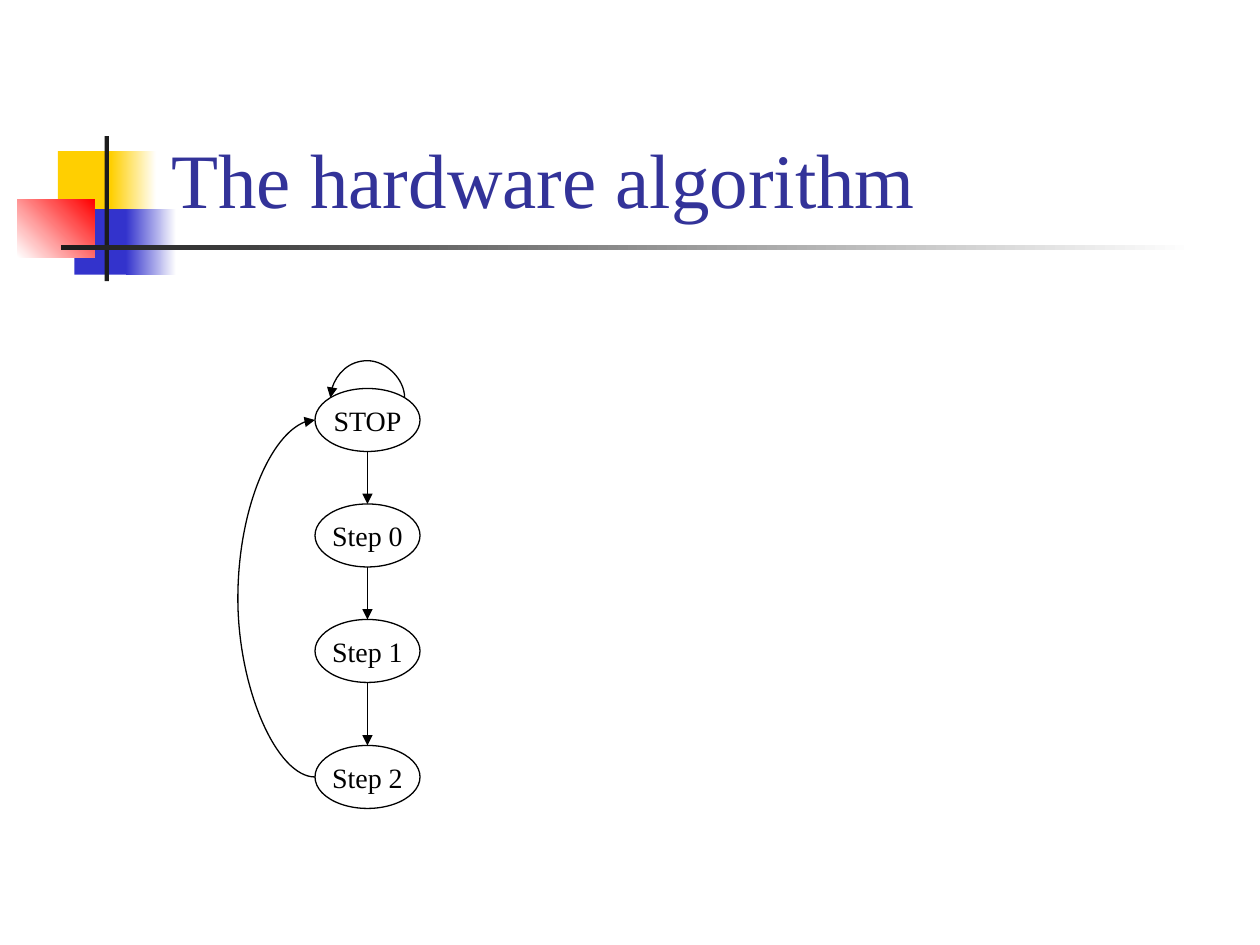
import math

from pptx import Presentation
from pptx import util as u
from pptx.dml.color import RGBColor
from pptx.enum import shapes, text
from pptx.oxml import ns
from lxml import etree

WHITE = RGBColor(0xFF, 0xFF, 0xFF)
BLACK = RGBColor(0, 0, 0)
YELLOW = RGBColor(0xFF, 0xCF, 0x01)
BLUE = RGBColor(0x33, 0x33, 0xCC)
RED = RGBColor(0xFF, 0, 0)
CHARCOAL = RGBColor(0x1C, 0x1C, 0x1C)
NAVY = RGBColor(0x33, 0x33, 0x99)

# Connection sites of an ellipse
TOP, TOP_LEFT, LEFT, BOTTOM, TOP_RIGHT = 0, 1, 2, 4, 7

STATE_LEFT, STATE_WIDTH, STATE_HEIGHT = 180, 60, 36
STATES = {"STOP": 222, "Step 0": 288, "Step 1": 354, "Step 2": 426}

DECORATION = [  # left, top, width, height, colours, gradient angle
    (33.1, 86.4, 34.6, 37.4, [YELLOW], 0),
    (63.4, 86.4, 25.9, 37.4, [YELLOW, WHITE], 0),
    (42.5, 119.5, 33.1, 37.4, [BLUE], 0),
    (72, 119.5, 28.8, 37.4, [BLUE, WHITE], 0),
    (10, 113.8, 44, 33.1, [WHITE, RED], 45),
    (59.8, 77.8, 2.4, 82.8, [CHARCOAL], 0),
    (34.6, 140.2, 648, 2.4, [CHARCOAL, WHITE], 0),
]


def apply(target, values):
    for name, value in values.items():
        setattr(target, name, value)


class Deck:
    font_name = "Times New Roman"
    line_width = 0.75
    thin = 0.125  # width of a curve whose two ends are level

    def __init__(self):
        self.prs = Presentation()
        apply(self.prs, {"slide_width": u.Pt(720), "slide_height": u.Pt(540)})
        self.slide = self.prs.slides.add_slide(self.prs.slide_layouts[5])

    def label(self, frame, words, size, color, align, anchor, wrap):
        apply(frame, {"text": words, "vertical_anchor": anchor, "word_wrap": wrap,
                      "auto_size": text.MSO_AUTO_SIZE.NONE})
        paragraph = frame.paragraphs[0]
        paragraph.alignment = align
        font = paragraph.runs[0].font
        apply(font, {"name": self.font_name, "size": u.Pt(size)})
        font.color.rgb = color

    def title(self, words, left, top, width, height):
        title = self.slide.shapes.title
        apply(title, {"left": u.Pt(left), "top": u.Pt(top),
                      "width": u.Pt(width), "height": u.Pt(height)})
        self.label(title.text_frame, words, 44, NAVY, text.PP_ALIGN.LEFT,
                   text.MSO_ANCHOR.BOTTOM, True)
        self.slide.shapes._spTree.append(title._element)  # in front of the decoration

    def shape(self, kind, *box):
        shape = self.slide.shapes.add_shape(kind, *map(u.Pt, box))
        shape.shadow.inherit = False
        return shape

    def block(self, left, top, width, height, colors, angle):
        block = self.shape(shapes.MSO_SHAPE.RECTANGLE, left, top, width, height)
        block.line.fill.background()
        if len(colors) == 1:
            block.fill.solid()
            block.fill.fore_color.rgb = colors[0]
            return
        block.fill.gradient()
        block.fill.gradient_angle = angle
        for stop, color, position in zip(block.fill.gradient_stops, colors, (0, 1)):
            stop.color.rgb = color
            stop.position = position

    def state(self, words, top):
        state = self.shape(shapes.MSO_SHAPE.OVAL, STATE_LEFT, top, STATE_WIDTH, STATE_HEIGHT)
        state.fill.background()
        state.line.color.rgb = BLACK
        state.line.width = u.Pt(self.line_width)
        self.label(state.text_frame, words, 16, BLACK, text.PP_ALIGN.CENTER,
                   text.MSO_ANCHOR.MIDDLE, False)
        return state

    def arrow(self, kind, begin, end, source, target):
        """Draw an arrow; source and target are (state, connection site)."""
        arrow = self.slide.shapes.add_connector(kind, *map(u.Pt, (*begin, *end)))
        arrow.line.color.rgb = BLACK
        arrow.line.width = u.Pt(self.line_width)
        etree.SubElement(arrow.line._get_or_add_ln(), ns.qn("a:tailEnd"), type="triangle")
        etree.SubElement(arrow._element.spPr, ns.qn("a:effectLst"))
        links = arrow._element.find(".//" + ns.qn("p:cNvCxnSpPr"))
        for tag, (state, site) in (("a:stCxn", source), ("a:endCxn", target)):
            etree.SubElement(links, ns.qn(tag), id=str(state.shape_id), idx=str(site))
        return arrow

    def straight(self, source, target):
        x = STATE_LEFT + STATE_WIDTH / 2
        below = (source.top + source.height) / u.Pt(1)
        self.arrow(shapes.MSO_CONNECTOR.STRAIGHT, (x, below), (x, target.top / u.Pt(1)),
                   (source, BOTTOM), (target, TOP))

    def curve(self, center, span, reach, turn, source, target):
        """Draw a curve that bulges by reach; turn holds its xfrm attributes."""
        x, y = center
        curve = self.arrow(shapes.MSO_CONNECTOR.CURVE,
                           (x - self.thin / 2, y - span / 2),
                           (x + self.thin / 2, y + span / 2), source, target)
        properties = curve._element.spPr
        transform = properties.find(ns.qn("a:xfrm"))
        for name, value in turn.items():
            transform.set(name, value)
        geometry = properties.find(ns.qn("a:prstGeom"))
        guides = geometry.find(ns.qn("a:avLst"))
        if guides is None:
            guides = etree.SubElement(geometry, ns.qn("a:avLst"))
        ratio = round(reach / self.thin * 100000)
        etree.SubElement(guides, ns.qn("a:gd"), name="adj1", fmla=f"val {ratio}")


def main():
    deck = Deck()
    for block in DECORATION:
        deck.block(*block)
    deck.title("The hardware algorithm", 90.7, 16.6, 613.4, 115.2)

    states = [deck.state(words, top) for words, top in STATES.items()]
    for source, target in zip(states, states[1:]):
        deck.straight(source, target)

    stop, last = states[0], states[-1]
    first_y, last_y = (top + STATE_HEIGHT / 2 for top in (STATES["STOP"], STATES["Step 2"]))
    deck.curve((STATE_LEFT, (first_y + last_y) / 2), last_y - first_y, 48.67,
               {"rot": "10800000"}, (last, LEFT), (stop, LEFT))
    diagonal = math.sqrt(0.5)
    deck.curve((STATE_LEFT + STATE_WIDTH / 2, first_y - STATE_HEIGHT / 2 * diagonal),
               STATE_WIDTH * diagonal, -23.25,
               {"rot": "16200000", "flipH": "1", "flipV": "1"},
               (stop, TOP_RIGHT), (stop, TOP_LEFT))
    deck.prs.save("out.pptx")


if __name__ == "__main__":
    main()
